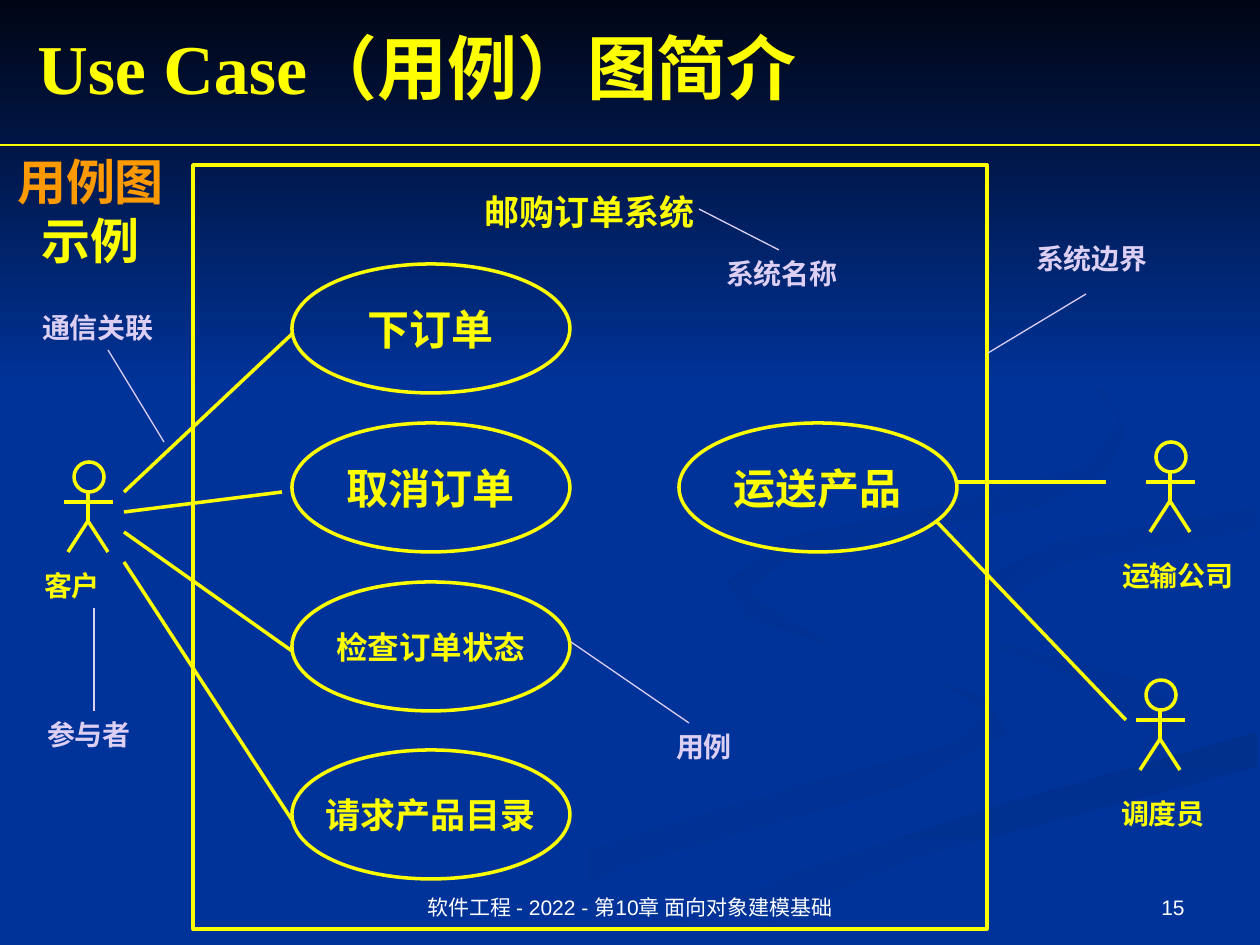
import pptx
import pptx.dml.color
import pptx.enum.shapes
import pptx.enum.text
import pptx.oxml.ns
import pptx.util
from lxml import etree

SCALE = 914400 / 126
YELLOW, LILAC, ORANGE, WHITE, BLUE = "FFFF00", "DCCFF3", "FF9900", "FFFFFF", "003399"
ALIGN = pptx.enum.text.PP_ALIGN
ANCHOR = pptx.enum.text.MSO_ANCHOR
SHAPE = pptx.enum.shapes.MSO_SHAPE
SERIF, SANS = "Times New Roman", "Arial"

WAVES = [
    (BLUE, "003193", 0, [
        (984, 697), (833, 646), (724, 578), (747, 619), (934, 679), (990, 713), (956, 743),
        (730, 805), (525, 869), (378, 944), (455, 944), (629, 866), (908, 785), (1008, 732)]),
    (BLUE, "003193", 45, [
        (1188, 718), (1140, 680), (998, 641), (912, 585), (931, 622), (1076, 679),
        (1157, 732), (1126, 762)]),
    ("002F8C", BLUE, 90, [
        (634, 944), (719, 944), (910, 859), (1257, 767), (1257, 732), (1004, 804), (794, 873)]),
    ("003091", BLUE, 45, [
        (984, 580), (1041, 625), (1014, 595), (1062, 564), (1257, 529), (1257, 507),
        (1052, 542)]),
    ("002F8E", BLUE, 45, [
        (861, 542), (1040, 507), (1104, 476), (1126, 433), (1100, 377), (960, 294),
        (1066, 352), (1120, 422), (1085, 466), (961, 501), (788, 537), (727, 582),
        (784, 630), (747, 592), (786, 559)]),
    ("000514", BLUE, 90, [(0, 0), (0, 388), (1260, 388), (1260, 0)]),
]


def px(n):
    """Turn px into EMU."""
    return pptx.util.Emu(round(n * SCALE))


def tint(code):
    """Turn a hex string into a colour."""
    return pptx.dml.color.RGBColor.from_string(code)


def write(frame, runs, size, font=SERIF, align=ALIGN.CENTER, anchor=ANCHOR.TOP, bold=True, wrap=True):
    """Fill a text frame with one paragraph of (text, colour) runs."""
    frame.word_wrap, frame.vertical_anchor = wrap, anchor
    para = frame.paragraphs[0]
    para.alignment = align
    for text, code in runs:
        run = para.add_run()
        run.text = text
        run.font.name, run.font.size, run.font.bold = font, pptx.util.Pt(size), bold
        run.font.color.rgb = tint(code)


def label(slide, box, runs, size, **style):
    """Add a text box."""
    write(slide.shapes.add_textbox(*map(px, box)).text_frame, runs, size, **style)


def tag(slide, mid, top, text, code):
    """Add a small label centred on a point."""
    label(slide, (mid - 77, top, 154, 47), [(text, code)], 16)


def line(slide, x1, y1, x2, y2, code=YELLOW, width=2):
    """Draw a straight line."""
    link = slide.shapes.add_connector(
        pptx.enum.shapes.MSO_CONNECTOR.STRAIGHT, px(x1), px(y1), px(x2), px(y2))
    link.line.color.rgb, link.line.width = tint(code), pptx.util.Pt(width)
    etree.SubElement(link._element.spPr, pptx.oxml.ns.qn("a:effectLst"))


def frame(slide, kind, box):
    """Draw an unfilled yellow outline."""
    shape = slide.shapes.add_shape(kind, *map(px, box))
    shape.shadow.inherit = False
    shape.fill.background()
    shape.line.color.rgb, shape.line.width = tint(YELLOW), pptx.util.Pt(2)
    return shape


def scene(slide, box):
    """Paint the blue ground and its waves."""
    slide.background.fill.solid()
    slide.background.fill.fore_color.rgb = tint(BLUE)
    for first, last, angle, points in WAVES:
        pen = slide.shapes.build_freeform(*points[0], scale=SCALE)
        pen.add_line_segments(points[1:], close=True)
        wave = pen.convert_to_shape(px(box[0]), px(box[1]))
        wave.shadow.inherit = False
        wave.line.fill.background()
        wave.fill.gradient()
        wave.fill.gradient_angle = -angle % 360
        for stop, code in zip(wave.fill.gradient_stops, (first, last)):
            stop.color.rgb = tint(code)


def header(slide, box):
    """Place the title, its rule and the side heading."""
    x, y, w, h = box
    label(slide, (x + 25, y + 18, 1134, 97), [("Use Case（用例）图简介", YELLOW)], 40,
          align=ALIGN.LEFT, anchor=ANCHOR.MIDDLE)
    line(slide, x, y + h, x + w, y + h, width=0.75)
    label(slide, (x - 13, y + h, 207, 131), [("用例图", ORANGE), ("示例", YELLOW)], 28)


def system(slide, box):
    """Draw the system border, its name and its use cases."""
    x, y, w, h = box
    cases = [("下订单", 99, 99, 24), ("取消订单", 99, 258, 24), ("检查订单状态", 99, 417, 18),
             ("请求产品目录", 99, 585, 20), ("运送产品", 486, 258, 24)]
    for text, left, top, size in cases:
        oval = frame(slide, SHAPE.OVAL, (x + left, y + top, 278, 129))
        write(oval.text_frame, [(text, YELLOW)], size, anchor=ANCHOR.MIDDLE, wrap=False)
    frame(slide, SHAPE.RECTANGLE, box)
    label(slide, (x + 243, y + 19, 307, 54), [("邮购订单系统", YELLOW)], 20)


def actor(slide, box, name, shift, drop):
    """Draw a stick figure with its name below."""
    x, y, w, h = box
    mid, hip = x + w // 2, y + 59
    frame(slide, SHAPE.OVAL, (x + 10, y, 30, 30))
    for end in (mid - 20, mid + 20):
        line(slide, mid, hip, end, y + h)
    line(slide, mid, y + 30, mid, hip)
    line(slide, x, y + 40, x + w, y + 40)
    tag(slide, mid + shift, y + drop, name, YELLOW)


def links(slide, box):
    """Join the actors to their use cases."""
    x, y = box[:2]
    for start, right, end in [(492, 292, 334), (512, 282, 492), (532, 292, 651), (562, 292, 820)]:
        line(slide, x + 124, y + start, x + right, y + end)
    line(slide, x + 958, y + 482, x + 1106, y + 482)
    line(slide, x + 937, y + 522, x + 1126, y + 720)


def notes(slide, box):
    """Place the lilac callouts with their leaders."""
    x, y = box[:2]
    calls = [("参与者", 89, 711, (94, 608, 94, 711)),
             ("通信关联", 98, 304, (108, 350, 164, 442)),
             ("系统名称", 782, 250, (699, 209, 779, 250)),
             ("系统边界", 1092, 235, (988, 353, 1086, 294)),
             ("用例", 704, 723, (571, 642, 689, 723))]
    for text, mid, top, (x1, y1, x2, y2) in calls:
        line(slide, x + x1, y + y1, x + x2, y + y2, LILAC, 0.75)
        tag(slide, x + mid, y + top, text, LILAC)


def footer(slide, box):
    """Place the course line and page number."""
    x, y, w, h = box
    style = dict(font=SANS, anchor=ANCHOR.BOTTOM, bold=False)
    label(slide, (x + 392, y, 476, h), [("软件工程 - 2022 - 第10章 面向对象建模基础", WHITE)], 12, **style)
    label(slide, (x + 903, y, 294, h), [("15", WHITE)], 12, align=ALIGN.RIGHT, **style)


def main():
    """Build the slide."""
    deck = pptx.Presentation()
    deck.slide_width, deck.slide_height = px(1260), px(945)
    slide = deck.slides.add_slide(deck.slide_layouts[6])
    page = (0, 0, 1260, 945)
    scene(slide, page)
    footer(slide, (0, 861, 1260, 65))
    system(slide, (193, 165, 794, 764))
    for name, left, top, shift, drop in [("客户", 64, 462, -16, 100), ("调度员", 1136, 680, 3, 110),
                                         ("运输公司", 1146, 442, 8, 110)]:
        actor(slide, (left, top, 49, 90), name, shift, drop)
    links(slide, page)
    notes(slide, page)
    header(slide, (0, 0, 1260, 145))
    deck.save("out.pptx")


if __name__ == "__main__":
    main()
